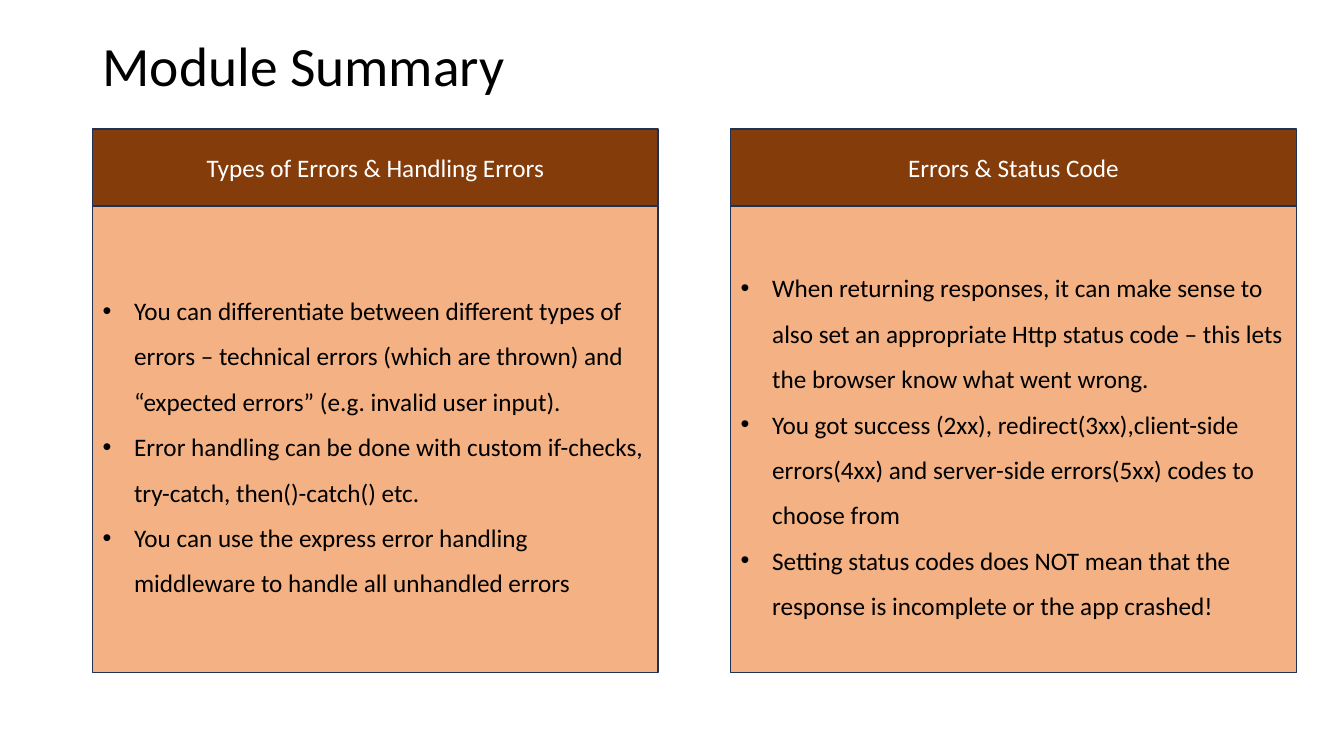
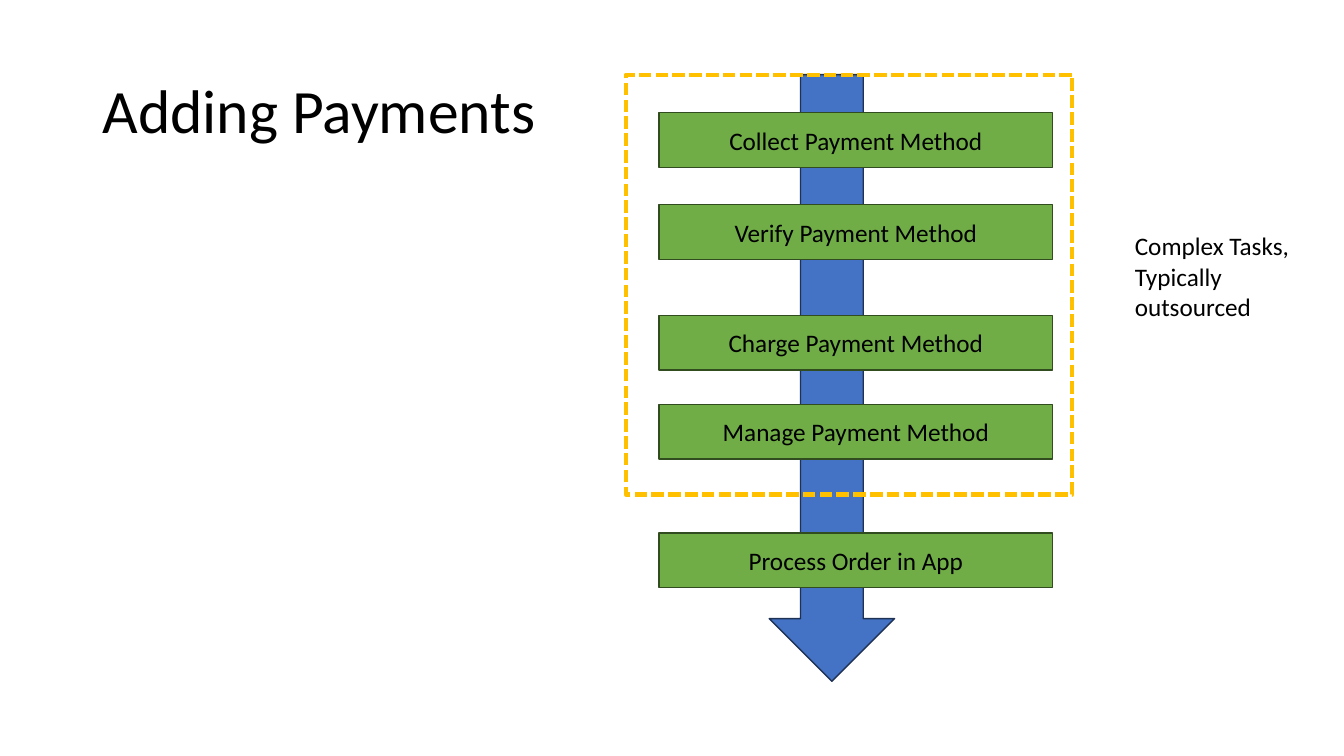
from dataclasses import dataclass

from lxml import etree
from pptx import Presentation
from pptx import util as u
from pptx.dml.color import RGBColor
from pptx.enum import dml, shapes, text
from pptx.oxml.ns import qn

Pt = u.Pt
Align, Anchor, Shape = text.PP_ALIGN, text.MSO_ANCHOR, shapes.MSO_SHAPE


@dataclass(frozen=True)
class Theme:
    font: str = "Calibri"
    title_size: float = 44
    small_title_size: float = 39.6
    body_size: float = 18
    ink: str = "000000"
    light: str = "FFFFFF"
    header: str = "843C0B"
    panel: str = "F4B183"
    arrow: str = "4472C4"
    outline: str = "1E3256"
    step: str = "70AD47"
    step_outline: str = "314C1F"
    highlight: str = "FFC000"
    bullet_indent: float = 22.5


THEME = Theme()


def write(frame, lines, *, size=THEME.body_size, color=THEME.ink, align=Align.LEFT,
          anchor=Anchor.MIDDLE, spacing=None, bullets=False, wrap=True):
    """Fill a text frame, one paragraph for each line."""
    frame.word_wrap = wrap
    frame.vertical_anchor = anchor
    for index, line in enumerate(lines):
        paragraph = frame.add_paragraph() if index else frame.paragraphs[0]
        paragraph.alignment = align
        if spacing:
            paragraph.line_spacing = spacing
        if bullets:
            props = paragraph._p.get_or_add_pPr()
            props.set("marL", str(Pt(THEME.bullet_indent)))
            props.set("indent", str(-Pt(THEME.bullet_indent)))
            etree.SubElement(props, qn("a:buFont")).set("typeface", "Arial")
            etree.SubElement(props, qn("a:buChar")).set("char", "•")
        run = paragraph.add_run()
        run.text = line
        run.font.name = THEME.font
        run.font.size = Pt(size)
        run.font.color.rgb = RGBColor.from_string(color)


class Deck:
    """Holds the theme and the slide being built; boxes are (left, top, width, height)."""

    def __init__(self, theme):
        self.theme = theme
        self.file = Presentation()
        self.file.slide_width, self.file.slide_height = Pt(960), Pt(540)
        self.slide = None

    def new_slide(self, title, box, size):
        self.slide = self.file.slides.add_slide(self.file.slide_layouts[6])
        self.label([title], box, size=size, spacing=0.9)

    def label(self, lines, box, **style):
        label = self.slide.shapes.add_textbox(*map(Pt, box))
        write(label.text_frame, lines, **style)

    def block(self, box, fill, outline, lines=(), kind=Shape.RECTANGLE,
              weight=1, dash=None, **style):
        block = self.slide.shapes.add_shape(kind, *map(Pt, box))
        block.shadow.inherit = False
        if fill:
            block.fill.solid()
            block.fill.fore_color.rgb = RGBColor.from_string(fill)
        else:
            block.fill.background()
        block.line.color.rgb = RGBColor.from_string(outline)
        block.line.width = Pt(weight)
        if dash:
            block.line.dash_style = dash
        write(block.text_frame, lines, **style)

    def card(self, left, heading, points):
        t = self.theme
        top, width, header_height, body_height = 92.2, 404, 54.8, 333.2
        self.block((left, top, width, header_height), t.header, t.outline,
                   [heading], color=t.light, align=Align.CENTER)
        self.block((left, top + header_height, width, body_height), t.panel,
                   t.outline, points, spacing=1.5, bullets=True)

    def step(self, top, caption):
        t = self.theme
        self.block((470.8, top, 281, 39), t.step, t.step_outline,
                   [caption], align=Align.CENTER)


def build_summary(deck):
    deck.new_slide("Module Summary", (66.2, 28.8, 404, 39.6),
                   deck.theme.small_title_size)
    # Two summary cards
    deck.card(66.2, "Types of Errors & Handling Errors", [
        "You can differentiate between different types of errors – technical errors "
        "(which are thrown) and “expected errors” (e.g. invalid user input).",
        "Error handling can be done with custom if-checks, try-catch, "
        "then()-catch() etc.",
        "You can use the express error handling middleware to handle all "
        "unhandled errors",
    ])
    deck.card(522, "Errors & Status Code", [
        "When returning responses, it can make sense to also set an appropriate "
        "Http status code – this lets the browser know what went wrong.",
        "You got success (2xx), redirect(3xx),client-side errors(4xx) and "
        "server-side errors(5xx) codes to choose from",
        "Setting status codes does NOT mean that the response is incomplete or "
        "the app crashed!",
    ])


def build_payments(deck):
    t = deck.theme
    deck.new_slide("Adding Payments", (66.2, 28.8, 828, 104.4), t.title_size)
    # Flow arrow with its steps
    flow_top = 53.3
    deck.block((549.4, flow_top, 89.6, 433.4), t.arrow, t.outline,
               kind=Shape.DOWN_ARROW)
    for top, caption in [
        (80.6, "Collect Payment Method"),
        (146.2, "Verify Payment Method"),
        (225.4, "Charge Payment Method"),
        (288.9, "Manage Payment Method"),
        (380.7, "Process Order in App"),
    ]:
        deck.step(top, caption)
    # Outsourced part
    deck.block((447, flow_top, 319, 300), None, t.highlight, weight=3,
               dash=dml.MSO_LINE.SQUARE_DOT)
    deck.label(["Complex Tasks,", "Typically", "outsourced"],
               (803.5, 161.3, 126, 72.7), anchor=Anchor.TOP, wrap=False)


def main():
    deck = Deck(THEME)
    build_summary(deck)
    build_payments(deck)
    deck.file.save("out.pptx")


if __name__ == "__main__":
    main()
